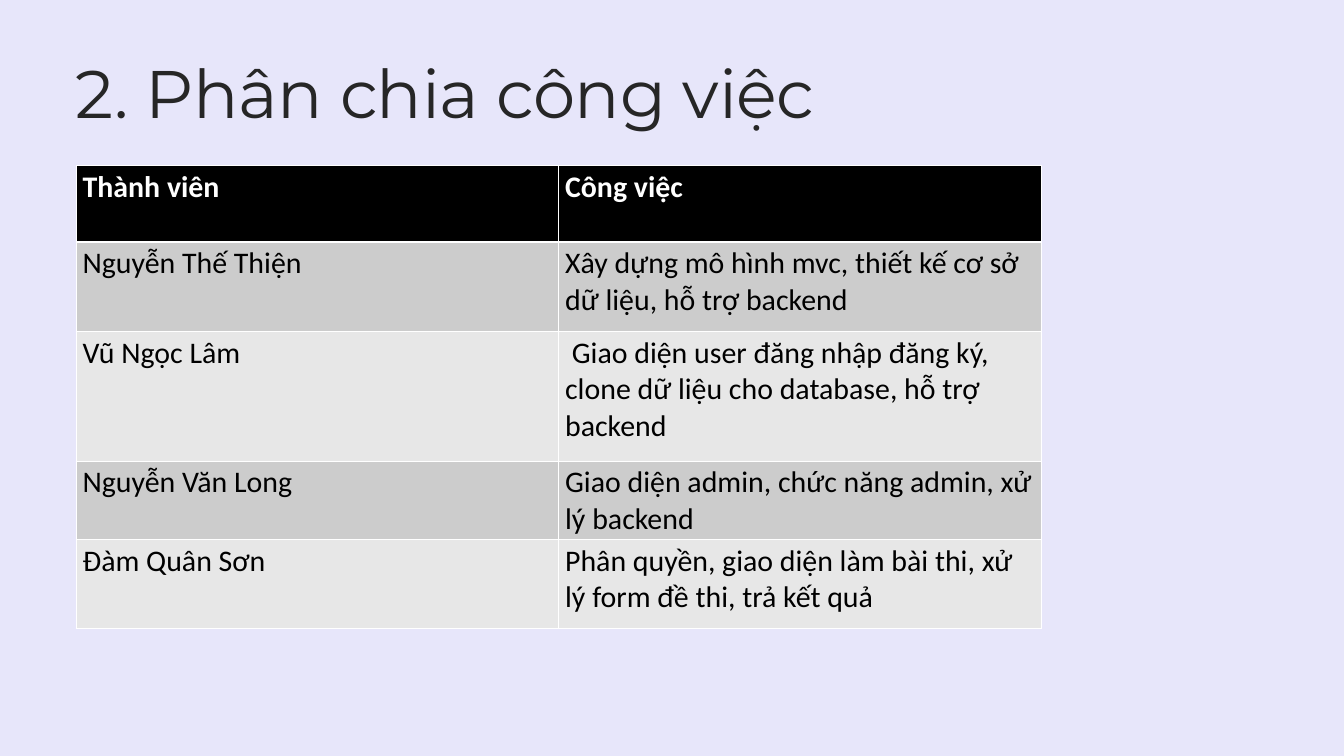
import dataclasses

import lxml.etree
import pptx
import pptx.dml.color
import pptx.enum.text
import pptx.oxml.ns
import pptx.table
import pptx.util

Inches = pptx.util.Inches
Pt = pptx.util.Pt
qn = pptx.oxml.ns.qn

LEFT = 1.13
COL_WIDTH = 7.18
HEADER_FILL = "000000"
BAND_FILLS = ("CCCCCC", "E7E7E7")
THIN, THICK = 1, 3


@dataclasses.dataclass
class Row:
    member: str
    task: str
    height: float


HEADER = Row("Thành viên", "Công việc", 1.14)
ASSIGNMENTS = [
    Row("Nguyễn Thế Thiện", "Xây dựng mô hình mvc, thiết kế cơ sở dữ liệu, hỗ trợ backend", 1.33),
    Row("Vũ Ngọc Lâm", " Giao diện user đăng nhập đăng ký, clone dữ liệu cho database, hỗ trợ backend", 1.93),
    Row("Nguyễn Văn Long", "Giao diện admin, chức năng admin, xử lý backend", 1.14),
    Row("Đàm Quân Sơn", "Phân quyền, giao diện làm bài thi, xử lý form đề thi, trả kết quả", 1.33),
]


def rgb(color: str) -> pptx.dml.color.RGBColor:
    return pptx.dml.color.RGBColor.from_string(color)


def add_run(p, text: str, color: str, **font_values):
    r = p.add_run()
    r.text = text
    for name, value in font_values.items():
        setattr(r.font, name, value)
    r.font.color.rgb = rgb(color)
    return r


def set_borders(cell: pptx.table._Cell, top: float, bottom: float) -> None:
    """Draw white borders; must run before the cell gets its fill."""
    tc_pr = cell._tc.get_or_add_tcPr()
    for side, width in {"lnL": THIN, "lnR": THIN, "lnT": top, "lnB": bottom}.items():
        ln = lxml.etree.SubElement(tc_pr, qn(f"a:{side}"), w=str(Pt(width)))
        fill = lxml.etree.SubElement(ln, qn("a:solidFill"))
        lxml.etree.SubElement(fill, qn("a:srgbClr"), val="FFFFFF")


def add_title(s, text: str) -> None:
    sp = s.shapes.add_textbox(Inches(LEFT), Inches(1.33), Inches(17.74), Inches(0.72))
    tf = sp.text_frame
    frame_values = {
        "word_wrap": True,
        "auto_size": pptx.enum.text.MSO_AUTO_SIZE.SHAPE_TO_FIT_TEXT,
        "margin_left": 0,
        "margin_right": 0,
        "margin_top": 0,
        "margin_bottom": 0,
    }
    for name, value in frame_values.items():
        setattr(tf, name, value)
    p = tf.paragraphs[0]
    p.line_spacing = Pt(45.4)
    r = add_run(p, text, "262626", name="Montserrat", size=Pt(72))
    r._r.get_or_add_rPr().set("spc", "-40")


def add_task_table(s, rows: list[Row]) -> None:
    height = sum(row.height for row in rows)
    table = s.shapes.add_table(
        len(rows), 2, Inches(LEFT), Inches(2.46), Inches(2 * COL_WIDTH), Inches(height)
    ).table
    for column in table.columns:
        column.width = Inches(COL_WIDTH)
    for i, row in enumerate(rows):
        table.rows[i].height = Inches(row.height)
        is_header = i == 0
        for j, text in enumerate((row.member, row.task)):
            cell = table.cell(i, j)
            set_borders(cell, THICK if i == 1 else THIN, THICK if is_header else THIN)
            cell.fill.solid()
            cell.fill.fore_color.rgb = rgb(HEADER_FILL if is_header else BAND_FILLS[(i - 1) % 2])
            add_run(
                cell.text_frame.paragraphs[0], text, "FFFFFF" if is_header else "000000",
                name="Calibri", size=Pt(32), bold=is_header,
            )


def main() -> None:
    prs = pptx.Presentation()
    prs.slide_width, prs.slide_height = Inches(20), Inches(11.25)
    s = prs.slides.add_slide(prs.slide_layouts[6])
    s.background.fill.solid()
    s.background.fill.fore_color.rgb = rgb("E7E6FA")
    add_title(s, "2. Phân chia công việc")
    add_task_table(s, [HEADER, *ASSIGNMENTS])
    prs.save("out.pptx")


if __name__ == "__main__":
    main()
